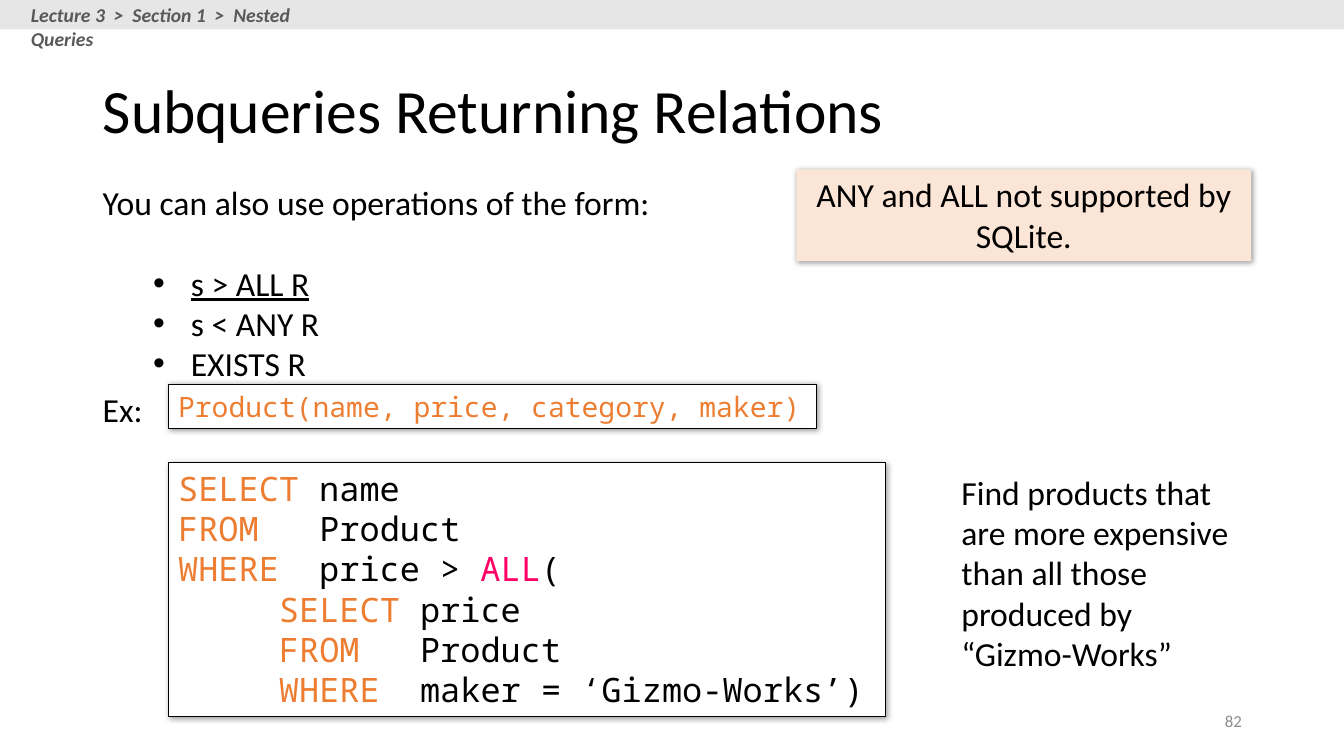
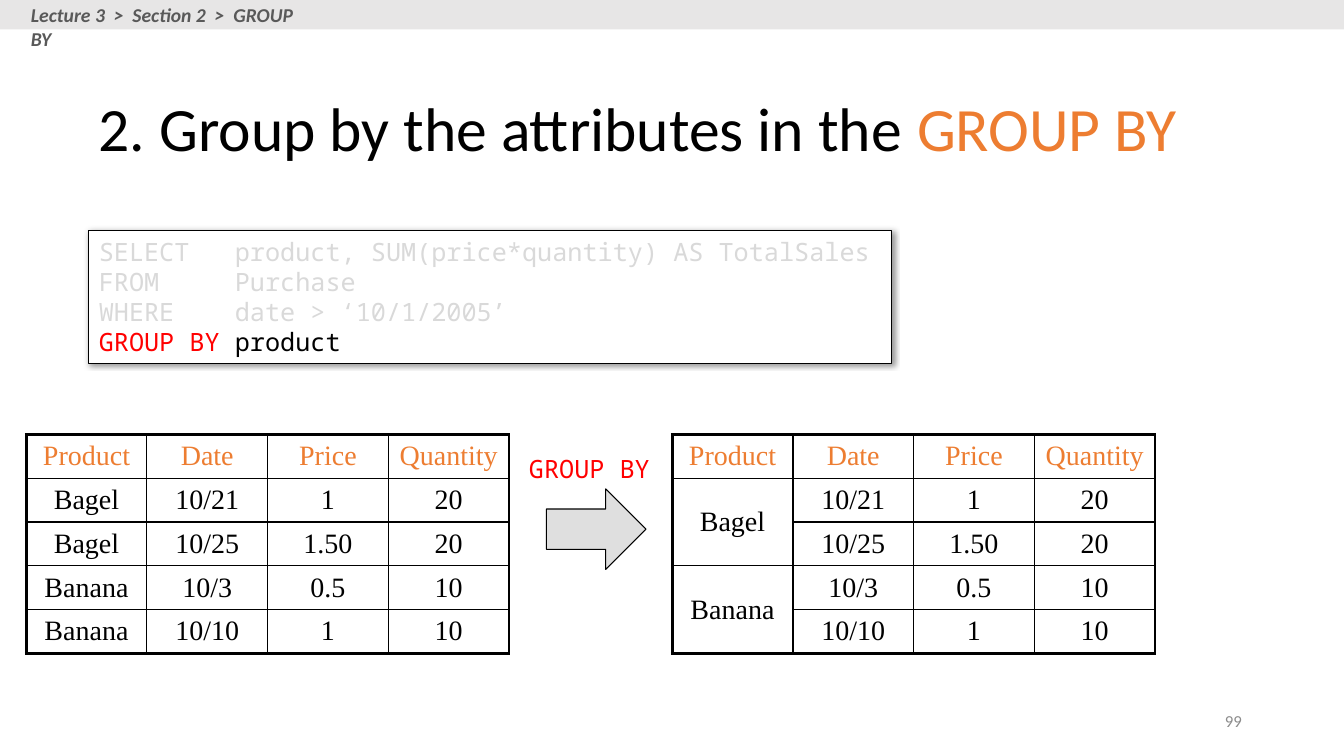
from lxml import etree
from pptx import Presentation
from pptx.dml.color import RGBColor
from pptx.enum.shapes import MSO_SHAPE
from pptx.enum.text import MSO_ANCHOR, PP_ALIGN
from pptx.oxml.ns import qn
from pptx.util import Cm, Pt

RECT, ARROW = MSO_SHAPE.RECTANGLE, MSO_SHAPE.RIGHT_ARROW
TOP, MIDDLE = MSO_ANCHOR.TOP, MSO_ANCHOR.MIDDLE
LEFT, CENTER, RIGHT = PP_ALIGN.LEFT, PP_ALIGN.CENTER, PP_ALIGN.RIGHT

SANS, MONO, SERIF = "Calibri", "Noto Sans Mono", "Times New Roman"
COLORS = {
    "black": "000000", "white": "FFFFFF", "band": "E7E6E6", "crumb": "595959",
    "number": "8C8C8C", "key": "ED7D31", "pink": "FF0066", "red": "FF0000",
    "faded": "D9D9D9", "peach": "FBE5D6", "arrow": "C0C0C0",
}
WIDTH, HEIGHT = 33.87, 19.05
THIN, THICK = 1, 2.25


def rgb(name):
    return RGBColor.from_string(COLORS[name])


def cms(box):
    return [Cm(n) for n in box]


def node(parent, tag, **attrs):
    item = etree.SubElement(parent, qn(tag))
    for key, value in attrs.items():
        item.set(key, str(value))
    return item


def write(frame, lines, size, font=SANS, color="black", align=LEFT, anchor=TOP):
    """Fill a frame; a line is a string or a list of (text, color) runs."""
    frame.word_wrap = True
    frame.vertical_anchor = anchor
    for i, line in enumerate(lines):
        para = frame.add_paragraph() if i else frame.paragraphs[0]
        para.alignment = align
        parts = [(line, color)] if isinstance(line, str) else line
        for text, tint in parts:
            run = para.add_run()
            run.text = text
            run.font.name = font
            run.font.size = Pt(size)
            run.font.color.rgb = rgb(tint)


def label(slide, box, lines, size, **style):
    frame = slide.shapes.add_textbox(*cms(box)).text_frame
    write(frame, lines, size, **style)
    return frame


def block(slide, kind, box, fill, line=None):
    shape = slide.shapes.add_shape(kind, *cms(box))
    shape.shadow.inherit = False
    shape.fill.solid()
    shape.fill.fore_color.rgb = rgb(fill)
    if line:
        shape.line.color.rgb = rgb(line)
        shape.line.width = Pt(0.75)
    else:
        shape.line.fill.background()
    return shape


def card(slide, box, lines, size, fill="white", line="black", **style):
    """Text on a rectangle with a soft shadow."""
    shape = block(slide, RECT, box, fill, line)
    effects = shape._element.spPr.find(qn("a:effectLst"))
    shade = node(effects, "a:outerShdw", blurRad=Pt(4), dist=Pt(1),
                 dir=45 * 60000, algn="tl", rotWithShape=0)
    tint = node(shade, "a:srgbClr", val=COLORS["black"])
    node(tint, "a:alpha", val=40000)
    write(shape.text_frame, lines, size, **style)


def start(deck, crumb, span, title, box, number):
    """Add a slide with its top band, title and number."""
    slide = deck.slides.add_slide(deck.slide_layouts[6])
    block(slide, RECT, (0, 0, WIDTH, 0.74), "band")
    trail = label(slide, (0.53, -0.05, span, 0.86), [crumb], 14, color="crumb")
    for run in trail.paragraphs[0].runs:
        run.font.bold = run.font.italic = True
    head = label(slide, box, [title], 44, anchor=MIDDLE)
    head.paragraphs[0].line_spacing = 0.9
    label(slide, (23.93, 17.65, 7.62, 1.02), [number], 12, color="number",
          align=RIGHT, anchor=MIDDLE)
    return slide


def forms(slide, box):
    """Lead sentence with the bulleted operations below it."""
    lines = ["You can also use operations of the form:",
             "s > ALL R", "s < ANY R", "EXISTS R"]
    frame = label(slide, box, lines, 24)
    bullets = frame.paragraphs[1:]
    for para in bullets:
        props = para._p.get_or_add_pPr()
        props.set("marL", str(Cm(2.22)))
        props.set("indent", str(Cm(-0.95)))
        node(props, "a:buFont", typeface="Arial")
        node(props, "a:buChar", char="•")
    bullets[0].space_before = Pt(29)
    bullets[0].runs[0].font.underline = True


def edge(cell, sides):
    props = cell._tc.get_or_add_tcPr()
    for side, thick in sides:
        line = node(props, "a:ln" + side, w=Pt(THICK if thick else THIN))
        fill = node(line, "a:solidFill")
        node(fill, "a:srgbClr", val=COLORS["black"])


def grid(slide, box, rows, merge=False):
    """Table with a thick frame; merge joins equal names in column one."""
    high, wide = len(rows), len(rows[0])
    table = slide.shapes.add_table(high, wide, *cms(box)).table
    table.first_row = table.horz_banding = False
    for col in table.columns:
        col.width = Cm(box[2] / wide)
    for row in table.rows:
        row.height = Cm(box[3] / high)
    for r, row in enumerate(rows):
        for c, text in enumerate(row):
            cell = table.cell(r, c)
            twin = merge and c == 0
            above = twin and text == rows[r - 1][0]
            below = twin and r + 1 < high and text == rows[r + 1][0]
            last = r + (2 if below else 1) == high
            edge(cell, [("L", c == 0), ("R", c + 1 == wide),
                        ("T", r == 0), ("B", last)])
            cell.fill.background()
            if above:
                table.cell(r - 1, c).merge(cell)
                continue
            write(cell.text_frame, [text], 20, font=SERIF,
                  color="black" if r else "key", align=CENTER)
            cell.vertical_anchor = MIDDLE


def step(slide, box):
    """Arrow with its clause name above."""
    x, y, w, h = box
    label(slide, (x, y, w, 1.02), ["GROUP BY"], 18, font=MONO, color="red")
    arrow = block(slide, ARROW, (x + 0.69, y + 1.02, 2.51, h - 1.02),
                  "arrow", "black")
    tint = arrow._element.spPr.find(qn("a:solidFill"))[0]
    node(tint, "a:alpha", val=50000)


def relations(deck):
    slide = start(deck, "Lecture 3  >  Section 1  >  Nested Queries", 8.59,
                  "Subqueries Returning Relations",
                  (2.34, 1.02, 29.21, 3.68), "82")
    query = [
        [("SELECT", "key"), (" name", "black")],
        [("FROM", "key"), ("   Product", "black")],
        [("WHERE  ", "key"), ("price > ", "black"), ("ALL", "pink"),
         ("(", "black")],
        [("     SELECT ", "key"), ("price", "black")],
        [("     FROM", "key"), ("   Product", "black")],
        [("     WHERE", "key"), ("  maker = ‘Gizmo-Works’)", "black")],
    ]
    forms(slide, (2.34, 4.45, 14.53, 5.3))
    label(slide, (2.34, 9.68, 1.9, 1.27), ["Ex:"], 24)
    card(slide, (4.24, 9.68, 16.33, 1.11),
         ["Product(name, price, category, maker)"], 20, font=MONO, color="key")
    card(slide, (4.24, 11.66, 18.08, 6.4), query, 24, font=MONO)
    label(slide, (23.98, 11.76, 7.49, 5.38),
          ["Find products that are more expensive than all those "
           "produced by “Gizmo-Works”"], 24)
    card(slide, (20.07, 4.27, 11.46, 2.31),
         ["ANY and ALL not supported by SQLite."], 24,
         fill="peach", line=None, align=CENTER)


def groups(deck):
    slide = start(deck, "Lecture 3  >  Section 2  >  GROUP BY", 7.62,
                  [("2. Group by the attributes in the ", "black"),
                   ("GROUP BY", "key")],
                  (2.24, 1.73, 27.91, 3.18), "99")
    query = [
        "SELECT   product, SUM(price*quantity) AS TotalSales",
        "FROM     Purchase",
        "WHERE    date > ‘10/1/2005’",
        [("GROUP BY ", "red"), ("product", "black")],
    ]
    rows = [
        ("Product", "Date", "Price", "Quantity"),
        ("Bagel", "10/21", "1", "20"),
        ("Bagel", "10/25", "1.50", "20"),
        ("Banana", "10/3", "0.5", "10"),
        ("Banana", "10/10", "1", "10"),
    ]
    card(slide, (2.24, 5.82, 20.24, 3.33), query, 18, font=MONO, color="faded")
    grid(slide, (0.66, 10.95, 12.17, 5.37), rows)
    step(slide, (13.08, 11.3, 3.7, 3.05))
    grid(slide, (16.94, 10.95, 12.17, 5.51), rows, merge=True)


def main():
    deck = Presentation()
    deck.slide_width, deck.slide_height = Cm(WIDTH), Cm(HEIGHT)
    relations(deck)
    groups(deck)
    deck.save("out.pptx")


if __name__ == "__main__":
    main()
